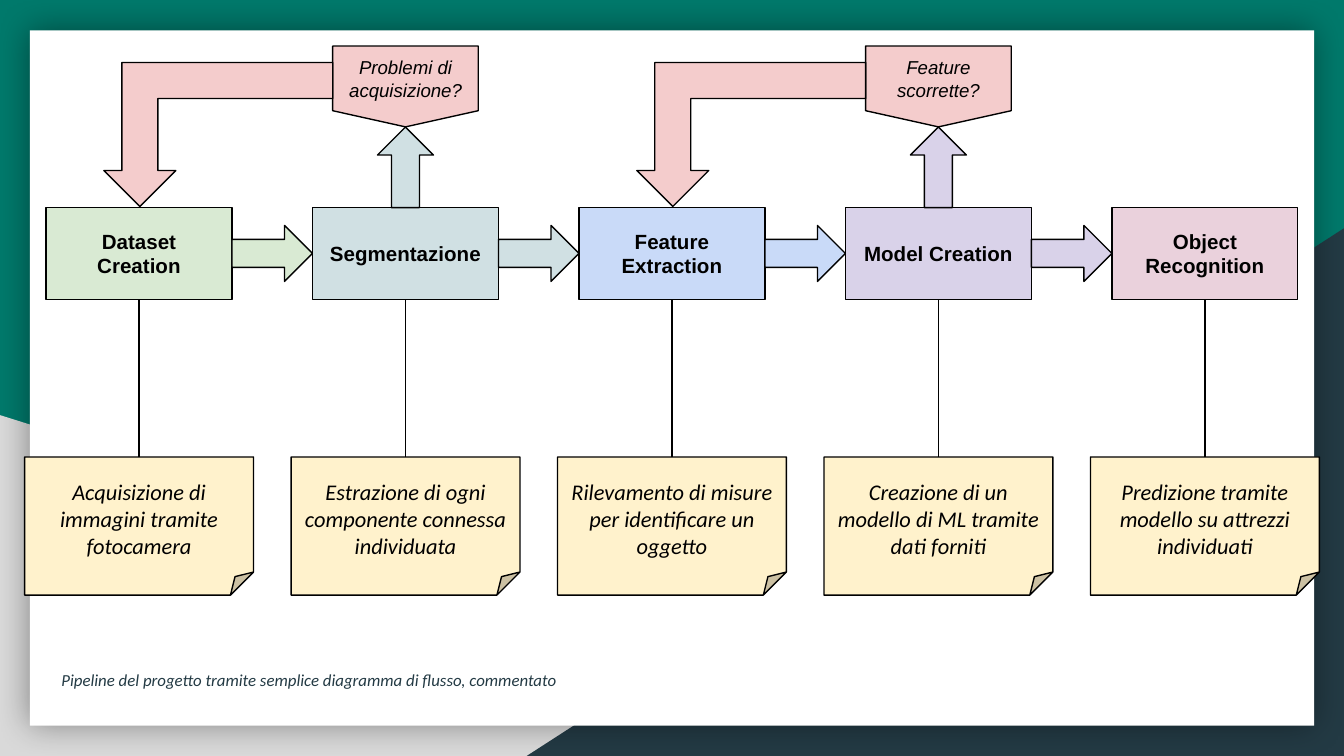
import pptx
import pptx.util
import pptx.dml.color
import pptx.enum.shapes
import pptx.enum.text
import pptx.oxml
import pptx.oxml.ns

Pt = pptx.util.Pt
KIND = pptx.enum.shapes.MSO_SHAPE
ALIGN = pptx.enum.text.PP_ALIGN
ANCHOR = pptx.enum.text.MSO_ANCHOR
color = pptx.dml.color.RGBColor.from_string


def draw(kind, x, y, w, h, fill, edge=True, turn=0, text="", anchor="MIDDLE", font=None):
    """Add a filled shape, with centred text if there is any."""
    shape = slide.shapes.add_shape(kind, Pt(x), Pt(y), Pt(w), Pt(h))
    shape.shadow.inherit = False
    shape.rotation = turn
    shape.fill.solid()
    shape.fill.fore_color.rgb = color(fill)
    if edge:
        shape.line.color.rgb = color("000000")
        shape.line.width = Pt(0.75)
    else:
        shape.line.fill.background()
    if text:
        write(shape.text_frame, text, ANCHOR[anchor], ALIGN.CENTER, "000000", font)
    return shape


def write(frame, text, anchor, align, ink, font):
    """Fill a text frame with one formatted paragraph."""
    layout = {"word_wrap": True, "vertical_anchor": anchor}
    for side in ("left", "top", "right", "bottom"):
        layout["margin_" + side] = Pt(7.2)
    for name, value in layout.items():
        setattr(frame, name, value)
    para = frame.paragraphs[0]
    para.alignment = align
    run = para.add_run()
    run.text = text
    for name, value in font.items():
        setattr(run.font, name, value)
    run.font.color.rgb = color(ink)


deck = pptx.Presentation()
deck.slide_width, deck.slide_height = Pt(720), Pt(405)
slide = deck.slides.add_slide(deck.slide_layouts[6])

# Backdrop: green ground, two corner triangles, white panel
slide.background.fill.solid()
slide.background.fill.fore_color.rgb = color("00796B")
draw(KIND.RIGHT_TRIANGLE, 0, 222.4, 580.3, 182.6, "D9D9D9", edge=False)
dark = draw(KIND.RIGHT_TRIANGLE, 282.2, 122.3, 437.8, 282.7, "233A44", edge=False)
dark.element.spPr.find(pptx.oxml.ns.qn("a:xfrm")).set("flipH", "1")
panel = draw(KIND.RECTANGLE, 16, 16.2, 688, 372.5, "FFFFFF", edge=False)
glow = pptx.oxml.parse_xml(
    f'<a:outerShdw {pptx.oxml.ns.nsdecls("a")} blurRad="{Pt(18)}" dist="0" dir="0" algn="ctr" '
    'rotWithShape="0"><a:srgbClr val="000000"><a:alpha val="40000"/></a:srgbClr></a:outerShdw>')
panel.element.spPr.find(pptx.oxml.ns.qn("a:effectLst")).append(glow)

# Caption
label = slide.shapes.add_textbox(Pt(25.8), Pt(327.6), Pt(584), Pt(47.5))
write(label.text_frame, "Pipeline del progetto tramite semplice diagramma di flusso, commentato",
      ANCHOR.BOTTOM, ALIGN.LEFT, "233A44",
      {"name": "Calibri", "size": Pt(9), "italic": True})

# Each step: title, fill, note, question that loops back
steps = [
    ("Dataset Creation", "D9EAD3", "Acquisizione di immagini tramite fotocamera", ""),
    ("Segmentazione", "D0E0E3", "Estrazione di ogni componente connessa individuata",
     "Problemi di acquisizione?"),
    ("Feature Extraction", "C9DAF8", "Rilevamento di misure per identificare un oggetto", ""),
    ("Model Creation", "D9D2E9", "Creazione di un modello di ML tramite dati forniti",
     "Feature scorrette?"),
    ("Object Recognition", "EAD1DC", "Predizione tramite modello su attrezzi individuati", ""),
]
bold = {"name": "Arial", "size": Pt(11), "bold": True}
slant = {"name": "Calibri", "size": Pt(12), "italic": True}
ask = {"name": "Arial", "size": Pt(10), "italic": True}
pitch, wide, top, high = 142.75, 99.6, 111.2, 49.2
gap, thick = pitch - wide, 30
pink = "F4CCCC"

for i, (title, fill, note, query) in enumerate(steps):
    mid = 360 + (i - 2) * pitch
    # Step box and its note, joined by a line
    box = draw(KIND.RECTANGLE, mid - wide / 2, top, wide, high, fill, text=title, font=bold)
    card = draw(KIND.FOLDED_CORNER, mid - 61.3, 244.8, 122.6, 74, "FFF2CC",
                text=note, anchor="BOTTOM", font=slant)
    link = slide.shapes.add_connector(pptx.enum.shapes.MSO_CONNECTOR.STRAIGHT, 0, 0, 0, 0)
    link.begin_connect(box, 2)
    link.end_connect(card, 0)
    link.line.color.rgb = color("000000")
    link.line.width = Pt(0.75)
    link.element.spPr.append(
        pptx.oxml.parse_xml(f'<a:effectLst {pptx.oxml.ns.nsdecls("a")}/>'))
    # Arrow to the next step
    if i < len(steps) - 1:
        draw(KIND.RIGHT_ARROW, mid + wide / 2, top + (high - thick) / 2, gap, thick, fill)
    # Question above the step and the way back
    if query:
        draw(KIND.RIGHT_ARROW, mid - gap / 2, top - (gap + thick) / 2, gap, thick, fill, turn=270)
        draw(KIND.FLOWCHART_OFFPAGE_CONNECTOR, mid - 39, 24.7, 78, 43.3, pink,
             text=query, font=ask)
        draw(KIND.BENT_UP_ARROW, mid - 161.6, 33.5, 122.6, 77.1, pink, turn=180)

deck.save("out.pptx")
